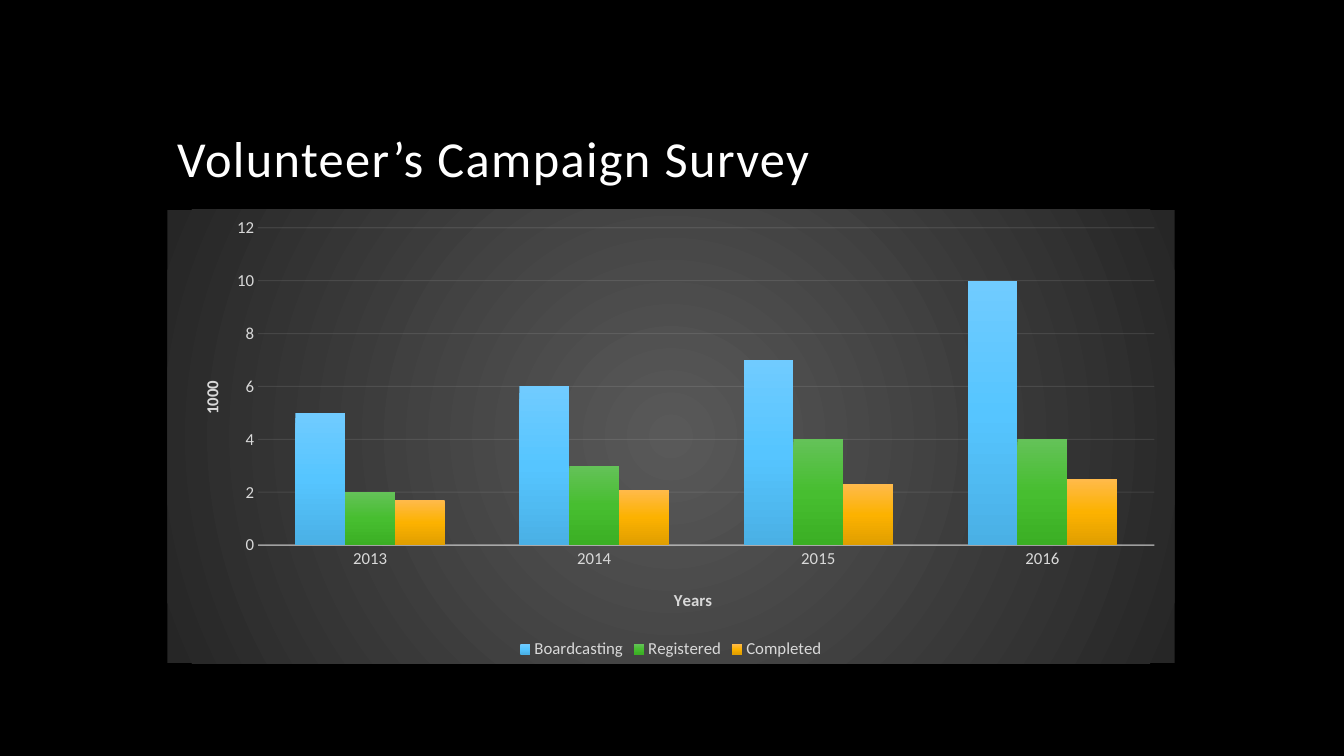
from dataclasses import dataclass

from lxml import etree
from pptx import Presentation
from pptx.chart.data import CategoryChartData
from pptx.dml.color import RGBColor
from pptx.enum import chart as ch, text
from pptx.oxml import parse_xml
from pptx.oxml.ns import nsdecls, qn
from pptx.util import Inches, Pt


@dataclass(frozen=True)
class Theme:
    font: str = "Calibri"
    background: str = "000000"
    heading: str = "FFFFFF"
    label: str = "D9D9D9"
    rule: str = "F2F2F2"
    panel: tuple = ((0, "595959"), (100, "262626"))
    heading_size: int = 36
    label_size: int = 12


THEME = Theme()
YEARS = ("2013", "2014", "2015", "2016")
SURVEY = (
    ("Boardcasting", (5, 6, 7, 10), ((0, "70CBFF"), (50, "56C5FF"), (100, "4AB0E5"))),
    ("Registered", (2, 3, 4, 4), ((0, "64C258"), (50, "47BE30"), (100, "3BAF24"))),
    ("Completed", (1.7, 2.1, 2.3, 2.5), ((0, "FFBA4B"), (50, "FCB200"), (100, "E09E00"))),
)


def style_font(font, size, color, bold=False):
    font.name, font.size, font.bold = THEME.font, Pt(size), bold
    font.color.rgb = RGBColor.from_string(color)


def gradient(stops, direction):
    stop_xml = "".join(
        f'<a:gs pos="{place * 1000}"><a:srgbClr val="{color}"/></a:gs>'
        for place, color in stops
    )
    return parse_xml(
        f'<a:gradFill {nsdecls("a")} rotWithShape="1">'
        f"<a:gsLst>{stop_xml}</a:gsLst>{direction}</a:gradFill>"
    )


def style_line(line, width, opacity):
    line.width = Pt(width)
    line.color.rgb = RGBColor.from_string(THEME.rule)
    color = line.fill._xPr.find(".//" + qn("a:srgbClr"))
    etree.SubElement(color, qn("a:alpha")).set("val", str(opacity * 1000))


def manual_layout(target="", **fractions):
    """Layout element whose fractions are shares of the chart's box."""
    modes = "".join(f'<c:{k}Mode val="edge"/>' for k in "xy")
    places = "".join(f'<c:{k} val="{v}"/>' for k, v in fractions.items())
    return parse_xml(
        f'<c:layout {nsdecls("c")}><c:manualLayout>{target}{modes}{places}'
        "</c:manualLayout></c:layout>"
    )


def set_layout(parent, layout, index):
    for old in parent.findall(qn("c:layout")):
        parent.remove(old)
    parent.insert(index, layout)


def style_axis(axis, caption, x, y, rotation):
    axis.major_tick_mark = axis.minor_tick_mark = ch.XL_TICK_MARK.NONE
    style_font(axis.tick_labels.font, THEME.label_size, THEME.label)
    frame = axis.axis_title.text_frame
    frame.text = caption
    style_font(frame.paragraphs[0].font, THEME.label_size, THEME.label, bold=True)
    body = frame._txBody.find(qn("a:bodyPr"))
    body.set("rot", str(rotation * 60000))
    body.set("vert", "horz")
    set_layout(axis.axis_title._element, manual_layout(x=x, y=y), 1)


def add_heading(slide, left, top, width, height):
    frame = slide.shapes.add_textbox(left, top, width, height).text_frame
    frame.word_wrap = True
    frame.vertical_anchor = text.MSO_ANCHOR.BOTTOM
    heading = frame.paragraphs[0]
    heading.line_spacing = 0.9
    run = heading.add_run()
    run.text = "Volunteer’s Campaign Survey"
    style_font(heading.font, THEME.heading_size, THEME.heading)
    run.font._element.set("spc", "100")


def add_survey_chart(slide, left, top, width, height):
    data = CategoryChartData()
    data.categories = YEARS
    for name, values, _ in SURVEY:
        data.add_series(name, values)
    chart = slide.shapes.add_chart(
        ch.XL_CHART_TYPE.COLUMN_CLUSTERED, left, top, width, height, data
    ).chart
    style_font(chart.font, THEME.label_size, THEME.label)
    chart.has_title = False
    chart.has_legend = True
    chart.legend.position = ch.XL_LEGEND_POSITION.BOTTOM
    chart.legend.include_in_layout = False
    style_font(chart.legend.font, THEME.label_size, THEME.label)

    panel = parse_xml(f'<c:spPr {nsdecls("c", "a")}><a:ln><a:noFill/></a:ln></c:spPr>')
    panel.insert(0, gradient(
        THEME.panel,
        '<a:path path="circle"><a:fillToRect l="50000" t="50000" r="50000" b="50000"/></a:path>',
    ))
    chart._chartSpace.find(qn("c:chart")).addnext(panel)

    plot = chart.plots[0]
    plot.gap_width, plot.overlap = 150, 0
    plot.vary_by_categories = False
    for series, (_, _, stops) in zip(plot.series, SURVEY):
        bar = series._element.get_or_add_spPr()
        bar.insert(0, gradient(stops, '<a:lin ang="5400000" scaled="0"/>'))

    years, thousands = chart.category_axis, chart.value_axis
    style_axis(years, "Years", 0.5, 0.83, 0)
    style_line(years.format.line, 1, 54)
    style_axis(thousands, "1000", 0.03, 0.37, -90)
    thousands.format.line.fill.background()
    thousands.minimum_scale, thousands.maximum_scale = 0, 12
    thousands.major_unit = 2
    style_line(thousands.major_gridlines.format.line, 0.75, 10)

    set_layout(
        chart._chartSpace.find(".//" + qn("c:plotArea")),
        manual_layout('<c:layoutTarget val="inner"/>', x=0.09, y=0.04, w=0.89, h=0.7),
        0,
    )


def build_survey_slide(deck):
    slide = deck.slides.add_slide(deck.slide_layouts[6])
    slide.background.fill.solid()
    slide.background.fill.fore_color.rgb = RGBColor.from_string(THEME.background)
    add_heading(slide, Inches(1.66), Inches(0.42), Inches(10), Inches(1.5))
    add_survey_chart(slide, Inches(1.66), Inches(2.08), Inches(9.99), Inches(4.5))


def main():
    deck = Presentation()
    deck.slide_width, deck.slide_height = Inches(13.33), Inches(7.5)
    build_survey_slide(deck)
    deck.save("out.pptx")


if __name__ == "__main__":
    main()
